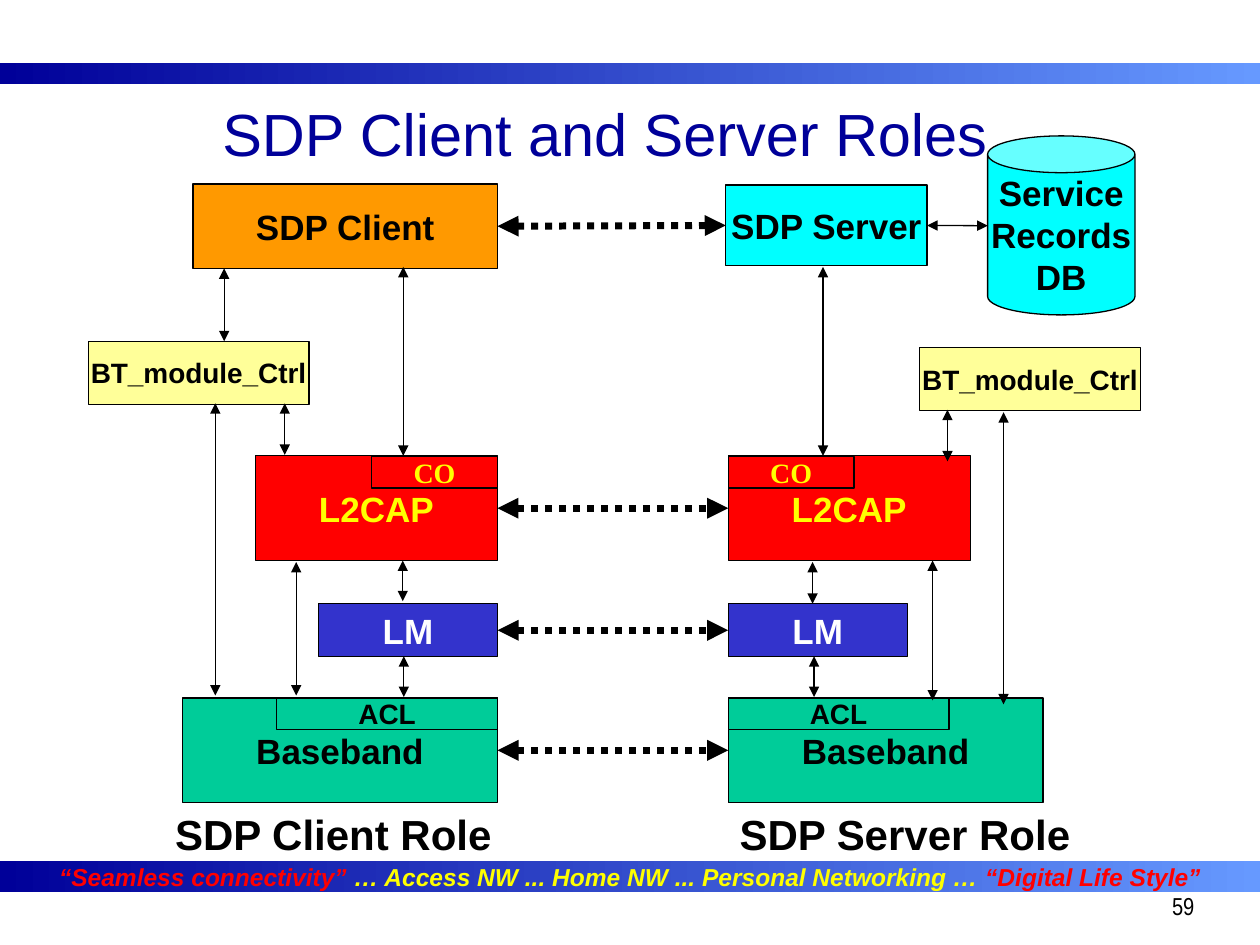
from lxml import etree
from pptx import Presentation
from pptx.dml.color import RGBColor
from pptx.enum.dml import MSO_LINE
from pptx.enum.shapes import MSO_CONNECTOR, MSO_SHAPE
from pptx.enum.text import MSO_ANCHOR, MSO_AUTO_SIZE, PP_ALIGN
from pptx.oxml.ns import qn
from pptx.util import Cm, Pt

RECTANGLE, CAN = MSO_SHAPE.RECTANGLE, MSO_SHAPE.CAN
STRAIGHT, ROUND_DOT = MSO_CONNECTOR.STRAIGHT, MSO_LINE.ROUND_DOT
MIDDLE, TOP, NO_FIT = MSO_ANCHOR.MIDDLE, MSO_ANCHOR.TOP, MSO_AUTO_SIZE.NONE
LEFT, CENTER, RIGHT = PP_ALIGN.LEFT, PP_ALIGN.CENTER, PP_ALIGN.RIGHT
LEFT_SIDE, RIGHT_SIDE = 1, 3

BLACK = RGBColor(0x00, 0x00, 0x00)
WHITE = RGBColor(0xFF, 0xFF, 0xFF)
NAVY = RGBColor(0x00, 0x00, 0x99)
SKY = RGBColor(0x66, 0x99, 0xFF)
RED = RGBColor(0xFF, 0x00, 0x00)
YELLOW = RGBColor(0xFF, 0xFF, 0x00)
PALE_YELLOW = RGBColor(0xFF, 0xFF, 0x99)
ORANGE = RGBColor(0xFF, 0x99, 0x00)
CYAN = RGBColor(0x00, 0xFF, 0xFF)
BLUE = RGBColor(0x33, 0x33, 0xCC)
GREEN = RGBColor(0x00, 0xCC, 0x99)

presentation = Presentation()
presentation.slide_width, presentation.slide_height = Cm(25.4), Cm(19.05)
slide = presentation.slides.add_slide(presentation.slide_layouts[5])


def write_text(shape, lines, size, color, bold=True, font="Arial",
               align=CENTER, anchor=MIDDLE, wrap=False):
    """Fill a shape with one paragraph for each line."""
    frame = shape.text_frame
    frame.auto_size = NO_FIT
    frame.word_wrap = wrap
    frame.vertical_anchor = anchor
    frame.text = "\n".join(lines)
    font_format = {"size": Pt(size), "bold": bold, "name": font}
    for paragraph in frame.paragraphs:
        paragraph.alignment = align
        for name, value in font_format.items():
            setattr(paragraph.font, name, value)
        paragraph.font.color.rgb = color


def add_arrow(x1, y1, x2, y2, width=0.75):
    """Draw a black line with a triangle at both ends."""
    arrow = slide.shapes.add_connector(STRAIGHT, Cm(x1), Cm(y1), Cm(x2), Cm(y2))
    arrow.line.color.rgb = BLACK
    arrow.line.width = Pt(width)
    if width > 1:
        arrow.line.dash_style = ROUND_DOT
    properties = arrow._element.spPr
    line = properties.find(qn("a:ln"))
    for end in ("a:headEnd", "a:tailEnd"):
        etree.SubElement(line, qn(end)).set("type", "triangle")
    etree.SubElement(properties, qn("a:effectLst"))
    return arrow


# Gradient bars
for top, height in ((1.27, 0.43), (17.35, 0.64)):
    bar = slide.shapes.add_shape(RECTANGLE, 0, Cm(top), Cm(25.4), Cm(height))
    bar.shadow.inherit = False
    bar.line.fill.background()
    bar.fill.gradient()
    bar.fill.gradient_angle = 180
    for stop, color in zip(bar.fill.gradient_stops, (SKY, NAVY)):
        stop.color.rgb = color

# Slogan in the lower bar
write_text(bar, [""], 14, YELLOW)
slogan = bar.text_frame.paragraphs[0]
for words, color in (
    ("“Seamless connectivity”", RED),
    (" … Access NW ... Home NW ... Personal Networking … ", YELLOW),
    ("“Digital Life Style”", RED),
):
    run = slogan.add_run()
    run.text = words
    run_format = {"size": Pt(14), "bold": True, "italic": True, "name": "Arial"}
    for name, value in run_format.items():
        setattr(run.font, name, value)
    run.font.color.rgb = color

# Title
title = slide.shapes.title
title.left, title.top, title.width, title.height = Cm(1.4), Cm(1.78), Cm(21.59), Cm(1.8)
write_text(title, ["SDP Client and Server Roles"], 34, NAVY, bold=False, wrap=True)

# Boxes of both stacks: the client ends at 10.03, the server starts at 14.68
CLIENT_EDGE, SERVER_EDGE = 10.03, 14.68
boxes = []
for text, top, width, height, fill, size, color, font in (
    ("LM", 12.17, 3.61, 1.07, BLUE, 20, WHITE, "Arial"),
    ("L2CAP", 9.19, 4.88, 2.11, RED, 20, YELLOW, "Arial"),
    ("Baseband", 14.07, 6.35, 2.11, GREEN, 20, BLACK, "Arial"),
    ("ACL", 14.07, 4.45, 0.64, GREEN, 16, BLACK, "Arial"),
    ("CO", 9.2, 2.54, 0.64, RED, 16, YELLOW, "Times New Roman"),
):
    for role, left in (("client", CLIENT_EDGE - width), ("server", SERVER_EDGE)):
        boxes.append(((role, text), RECTANGLE, left, top, width, height,
                      fill, size, color, font))

# Boxes that differ between the roles
boxes += [
    (("client", "SDP Client"), RECTANGLE, 3.89, 3.71, 6.14, 1.7, ORANGE, 20, BLACK, "Arial"),
    (("server", "SDP Server"), RECTANGLE, 14.63, 3.73, 4.06, 1.63, CYAN, 20, BLACK, "Arial"),
    (("server", "Service\nRecords\nDB"), CAN, 19.91, 2.74, 2.97, 3.61, CYAN, 20, BLACK, "Arial"),
    (("client", "BT_module_Ctrl"), RECTANGLE, 1.78, 6.88, 4.45, 1.27, PALE_YELLOW, 16, BLACK, "Arial"),
    (("server", "BT_module_Ctrl"), RECTANGLE, 18.54, 7.01, 4.45, 1.27, PALE_YELLOW, 16, BLACK, "Arial"),
]
shapes = {}
for key, kind, left, top, width, height, fill, size, color, font in boxes:
    shape = slide.shapes.add_shape(kind, Cm(left), Cm(top), Cm(width), Cm(height))
    shape.shadow.inherit = False
    shape.fill.solid()
    shape.fill.fore_color.rgb = fill
    shape.line.color.rgb = BLACK
    shape.line.width = Pt(0.75)
    write_text(shape, key[1].split("\n"), size, color, font=font)
    shapes[key] = shape

# Dotted arrows between peer layers
for client_layer, server_layer in (
    ("SDP Client", "SDP Server"), ("L2CAP", "L2CAP"), ("LM", "LM"), ("Baseband", "Baseband"),
):
    peer_arrow = add_arrow(CLIENT_EDGE, 4.55, SERVER_EDGE, 4.55, width=4)
    peer_arrow.begin_connect(shapes["client", client_layer], RIGHT_SIDE)
    peer_arrow.end_connect(shapes["server", server_layer], LEFT_SIDE)

# Arrow from the server to its database
database_arrow = add_arrow(18.69, 4.55, 19.91, 4.55)
database_arrow.begin_connect(shapes["server", "SDP Server"], RIGHT_SIDE)

# Vertical arrows between layers: x, top, bottom
for x, top, bottom in (
    (4.52, 5.41, 6.88), (8.13, 5.38, 9.19), (5.74, 8.13, 9.17), (4.34, 8.13, 14.02),
    (5.97, 11.33, 14.02), (8.12, 11.3, 12.12), (8.14, 13.23, 14.05),
    (16.59, 5.38, 9.19), (19.1, 8.26, 9.3), (20.23, 8.31, 14.2),
    (18.8, 11.3, 14.12), (16.38, 11.33, 12.17), (16.41, 13.23, 14.05),
):
    add_arrow(x, top, x, bottom)

# Role captions and page number
for text, left, top, width, size, bold, font, align in (
    ("SDP Client Role", 3.28, 16.18, 8, 24, True, "Arial", LEFT),
    ("SDP Server Role", 14.66, 16.18, 7.82, 24, True, "Arial", LEFT),
    ("59", 19.05, 17.78, 5.28, 14, False, "Arial Narrow", RIGHT),
):
    label = slide.shapes.add_textbox(Cm(left), Cm(top), Cm(width), Cm(1.27))
    write_text(label, [text], size, BLACK, bold, font, align, TOP, wrap=True)
label.text_frame.paragraphs[0].line_spacing = 1.1

presentation.save("out.pptx")
